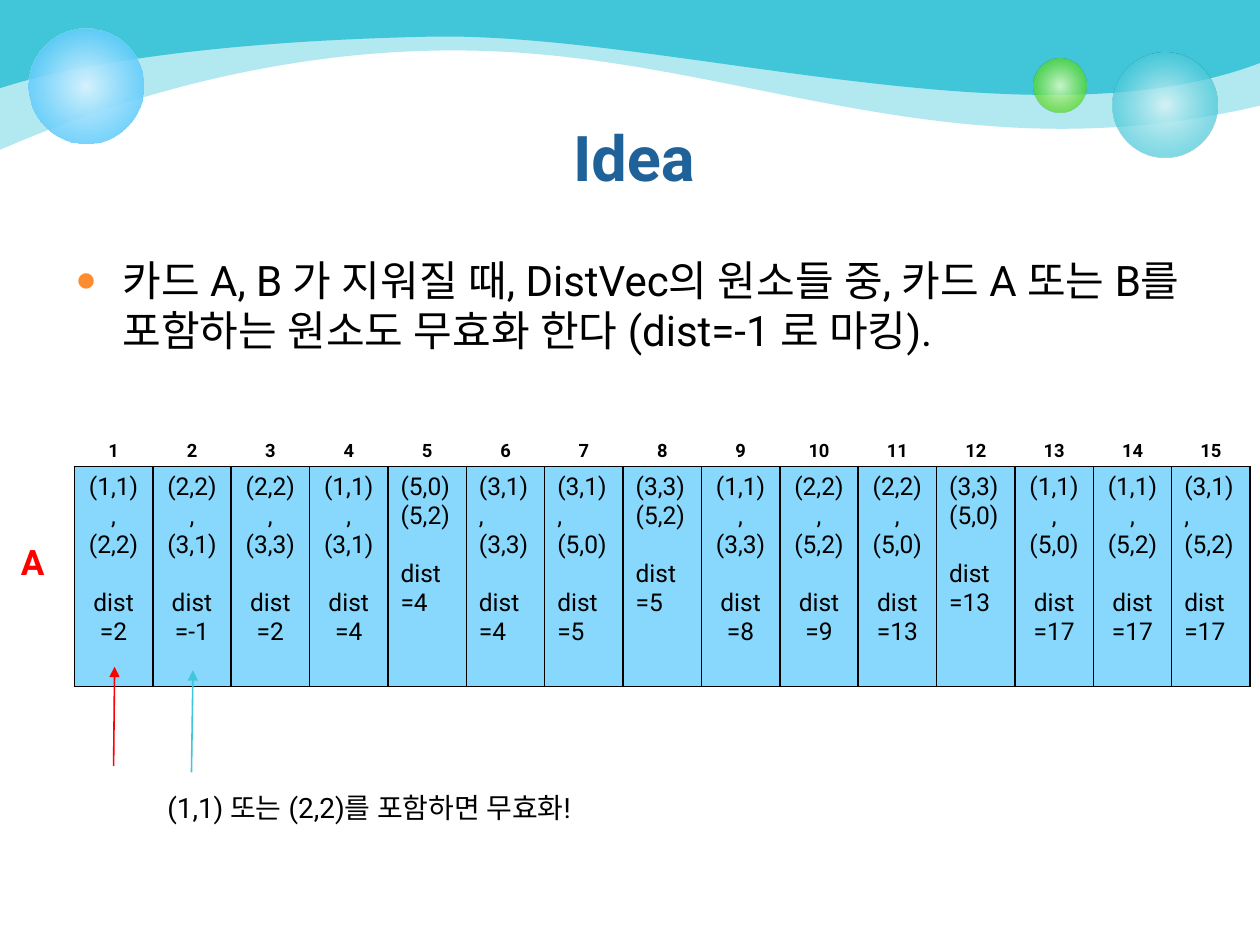
import lxml.etree
import pptx
import pptx.dml.color
import pptx.enum.shapes
import pptx.enum.text
import pptx.oxml.ns
import pptx.util

Cm, Pt = pptx.util.Cm, pptx.util.Pt
RGBColor = pptx.dml.color.RGBColor
Align = pptx.enum.text.PP_ALIGN
qn = pptx.oxml.ns.qn

TEAL = RGBColor(0x40, 0xC6, 0xD8)
PALE_TEAL = RGBColor(0xD9, 0xF4, 0xF7)
GREEN = RGBColor(0x4C, 0xD4, 0x16)
PALE_GREEN = RGBColor(0xDA, 0xFA, 0xCD)
SKY = RGBColor(0x33, 0xBD, 0xFB)
PALE_SKY = RGBColor(0xD6, 0xF2, 0xFE)
NAVY = RGBColor(0x1F, 0x62, 0x99)
ORANGE = RGBColor(0xFE, 0x8C, 0x2E)
RED = RGBColor(0xFF, 0, 0)
BLACK = RGBColor(0, 0, 0)
WHITE = RGBColor(0xFF, 0xFF, 0xFF)

FONT = "Roboto"

# Card pair, distance and alignment of each DistVec element
ELEMENTS = [
    ("(1,1),", "(2,2)", 2, Align.CENTER),
    ("(2,2),", "(3,1)", -1, Align.CENTER),
    ("(2,2),", "(3,3)", 2, Align.CENTER),
    ("(1,1),", "(3,1)", 4, Align.CENTER),
    ("(5,0)", "(5,2)", 4, Align.LEFT),
    ("(3,1),", "(3,3)", 4, Align.LEFT),
    ("(3,1),", "(5,0)", 5, Align.LEFT),
    ("(3,3)", "(5,2)", 5, Align.LEFT),
    ("(1,1),", "(3,3)", 8, Align.CENTER),
    ("(2,2),", "(5,2)", 9, Align.CENTER),
    ("(2,2),", "(5,0)", 13, Align.CENTER),
    ("(3,3)", "(5,0)", 13, Align.LEFT),
    ("(1,1),", "(5,0)", 17, Align.CENTER),
    ("(1,1),", "(5,2)", 17, Align.CENTER),
    ("(3,1),", "(5,2)", 17, Align.LEFT),
]


def add_child(parent, tag, **attributes):
    return lxml.etree.SubElement(parent, qn(tag), attributes)


def add_color(parent, color, opacity=100):
    node = add_child(parent, "a:srgbClr", val=str(color))
    if opacity < 100:
        add_child(node, "a:alpha", val=str(opacity * 1000))


def set_fill(fill, color, fill_parent, opacity=100):
    fill.solid()
    fill.fore_color.rgb = color
    if opacity < 100:
        node = fill_parent.find(qn("a:solidFill")).find(qn("a:srgbClr"))
        add_child(node, "a:alpha", val=str(opacity * 1000))


def style_paragraph(paragraph, size, color=BLACK, bold=False, align=Align.LEFT):
    paragraph.alignment = align
    for run in paragraph.runs:
        run.font.name = FONT
        run.font.size = Pt(size)
        run.font.bold = bold
        run.font.color.rgb = color
        # Korean text takes the East Asian font
        latin = run.font._element.find(qn("a:latin"))
        latin.addnext(lxml.etree.Element(qn("a:ea"), typeface=FONT))


def add_text(slide, box, text, size, **style):
    frame = slide.shapes.add_textbox(*map(Cm, box)).text_frame
    frame.word_wrap = True
    frame.text = text
    style_paragraph(frame.paragraphs[0], size, **style)
    return frame


def add_wave(slide, left, top, width, edge, opacity):
    """Fill from the top of the box down to an edge of two Bezier curves."""
    builder = slide.shapes.build_freeform(Cm(left), Cm(top), scale=1.0)
    builder.add_line_segments([(Cm(left + x), Cm(top + y)) for x, y in [*edge, (width, 0)]])
    wave = builder.convert_to_shape()
    wave.shadow.inherit = False
    wave.line.fill.background()
    set_fill(wave.fill, TEAL, wave.element.spPr, opacity)
    # Join each three segments after the left side into one curve
    lines = list(wave.element.spPr.iter(qn("a:lnTo")))
    for first in (1, 4):
        curve = lxml.etree.Element(qn("a:cubicBezTo"))
        lines[first].addprevious(curve)
        for line in lines[first:first + 3]:
            curve.append(line[0])
            line.getparent().remove(line)


def add_bubble(slide, left, top, size, inner, outer):
    """Draw a circle shaded from its centre; inner and outer are gradient stops."""
    bubble = slide.shapes.add_shape(pptx.enum.shapes.MSO_SHAPE.OVAL,
                                    Cm(left), Cm(top), Cm(size), Cm(size))
    bubble.shadow.inherit = False
    bubble.line.fill.background()
    bubble.fill.gradient()
    gradient = bubble.element.spPr.find(qn("a:gradFill"))
    for child in list(gradient):
        gradient.remove(child)
    stops = add_child(gradient, "a:gsLst")
    for position, color, opacity in (inner, outer):
        add_color(add_child(stops, "a:gs", pos=str(position * 1000)), color, opacity)
    shade = add_child(gradient, "a:path", path="circle")
    add_child(shade, "a:fillToRect", l="50000", t="50000", r="50000", b="50000")


def add_header(slide, left, top, width):
    # Waves
    add_wave(slide, left, top, width, [
        (0, 3.02), (0.84, 2.67), (5, 0.79), (10.06, 1.04),
        (15.11, 1.27), (19.35, 3.56), (width, 2.13)], 40)
    add_wave(slide, left, top, width, [
        (0, 1.78), (1.14, 1.4), (3.89, 0.84), (8.66, 0.74),
        (13.43, 0.64), (20.83, 3.02), (width, 1.27)], 100)
    # Bubbles
    add_bubble(slide, left + 22.43, top + 1.06, 2.12, (0, PALE_TEAL, 90), (76, TEAL, 70))
    add_bubble(slide, left + 20.83, top + 1.19, 1.07, (0, PALE_GREEN, 90), (76, GREEN, 70))
    add_bubble(slide, left + 0.58, top + 0.58, 2.31, (0, PALE_SKY, 100), (100, SKY, 80))


def add_bullet(slide, box, text):
    paragraph = add_text(slide, box, text, 24).paragraphs[0]
    properties = paragraph._p.get_or_add_pPr()
    properties.set("marL", str(Cm(0.95)))
    properties.set("indent", str(-Cm(0.95)))
    add_color(add_child(properties, "a:buClr"), ORANGE)
    add_child(properties, "a:buSzPct", val="85000")
    add_child(properties, "a:buFont", typeface="Arial")
    add_child(properties, "a:buChar", char="●")


def set_borders(cell, **colors):
    properties = cell._tc.get_or_add_tcPr()
    for index, side in enumerate("LRTB"):
        border = lxml.etree.Element(qn("a:ln" + side), w=str(Pt(1)))
        add_color(add_child(border, "a:solidFill"), colors.get(side, BLACK))
        properties.insert(index, border)


def add_vector_table(slide, left, top, width, header_height, body_height):
    table = slide.shapes.add_table(2, len(ELEMENTS), Cm(left), Cm(top), Cm(width),
                                   Cm(header_height + body_height)).table
    table.first_row = table.horz_banding = False
    table.rows[0].height = Cm(header_height)
    table.rows[1].height = Cm(body_height)
    for column, (first, second, distance, align) in enumerate(ELEMENTS):
        table.columns[column].width = Cm(width / len(ELEMENTS))
        # Index
        cell = table.cell(0, column)
        cell.text_frame.text = str(column + 1)
        cell.vertical_anchor = pptx.enum.text.MSO_ANCHOR.BOTTOM
        cell.margin_top = cell.margin_bottom = Cm(0.1)
        style_paragraph(cell.text_frame.paragraphs[0], 10.5, bold=True, align=Align.CENTER)
        set_fill(cell.fill, WHITE, cell._tc.tcPr)
        set_borders(cell, L=WHITE, R=WHITE, T=WHITE)
        # Card pair and distance
        cell = table.cell(1, column)
        cell.text_frame.text = f"{first}\n{second}\ndist={distance}"
        for paragraph in cell.text_frame.paragraphs:
            style_paragraph(paragraph, 14, align=align)
        cell.text_frame.paragraphs[2].space_before = Pt(16.5)
        set_fill(cell.fill, SKY, cell._tc.get_or_add_tcPr(), 59)
        set_borders(cell)


def add_arrow(slide, start, end, color):
    arrow = slide.shapes.add_connector(pptx.enum.shapes.MSO_CONNECTOR.STRAIGHT,
                                       *map(Cm, (*start, *end)))
    arrow.line.color.rgb = color
    arrow.line.width = Pt(0.9)
    add_child(arrow.line._get_or_add_ln(), "a:tailEnd", type="triangle")
    add_child(arrow.element.spPr, "a:effectLst")


def add_vector_diagram(slide, left, top):
    add_text(slide, (left, top + 2.07, 1.09, 1.12), "A", 20, color=RED, bold=True)
    add_vector_table(slide, left + 1.33, top, 23.7, 0.7, 4.43)
    add_arrow(slide, (left + 3.69, top + 6.86), (left + 3.72, top + 4.8), TEAL)
    add_text(slide, (left + 2.47, top + 7.1, 9.6, 0.94),
             "(1,1) 또는 (2,2)를 포함하면 무효화!", 16, align=Align.CENTER)
    add_arrow(slide, (left + 2.12, top + 6.73), (left + 2.14, top + 4.73), RED)


def main():
    presentation = pptx.Presentation()
    presentation.slide_width, presentation.slide_height = Cm(25.4), Cm(19.05)
    slide = presentation.slides.add_slide(presentation.slide_layouts[6])
    add_header(slide, 0, 0, 25.4)
    add_text(slide, (1.35, 2.26, 22.86, 3.18), "Idea", 36,
             color=NAVY, bold=True, align=Align.CENTER)
    add_bullet(slide, (1.27, 5, 23.42, 5.97),
               "카드 A, B 가 지워질 때, DistVec의 원소들 중, 카드 A 또는 B를 "
               "포함하는 원소도 무효화 한다 (dist=-1 로 마킹).")
    add_vector_diagram(slide, 0.17, 8.71)
    presentation.save("out.pptx")


if __name__ == "__main__":
    main()
